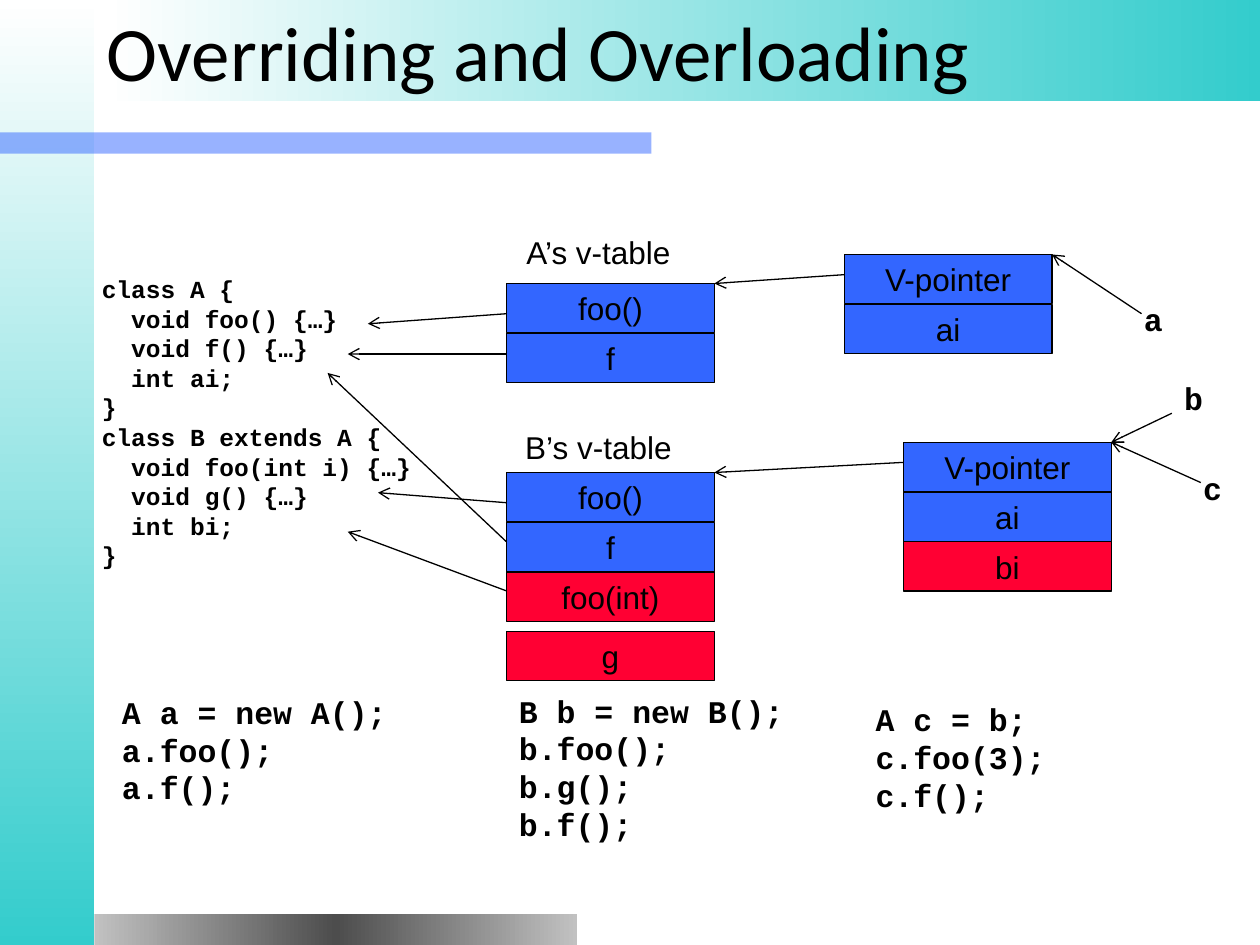
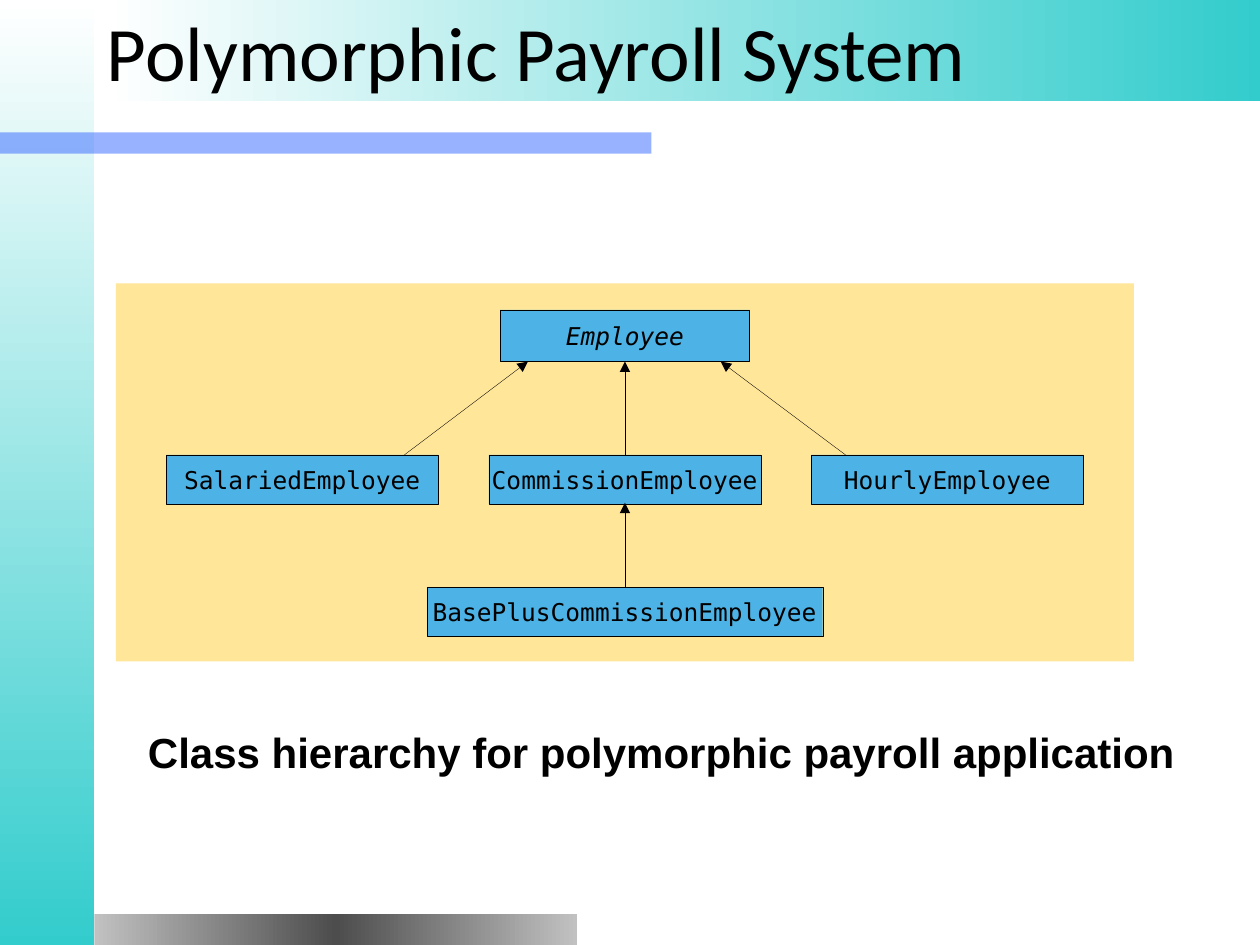
"""Build two slides on method overriding and a polymorphic payroll hierarchy."""
from dataclasses import dataclass

from lxml import etree
from pptx import Presentation
from pptx import util as u
from pptx.dml import color
from pptx.enum import shapes, text
from pptx.oxml import ns

COLUMNS, ROWS = 100, 75
WIDTH, HEIGHT = u.Inches(10), u.Inches(7.5)

BLACK, WHITE, TEAL = "000000", "FFFFFF", "33CCCC"
BLUE, RED = "3366FF", "FF0033"
SILVER, CHARCOAL = "C1C1C1", "4D4D4D"
SAND, SKY = "FFE699", "4DB3E6"

CELL_WIDTH, CELL_HEIGHT, CELL_STEP = 16.5, 3.9, 3.95
CLASS_HEIGHT = 3.9


@dataclass(frozen=True)
class Area:
    """A rectangle in grid columns and rows."""
    left: float
    top: float
    width: float
    height: float


@dataclass(frozen=True)
class Style:
    """The look of a run of text."""
    font: str
    size: float
    bold: bool = False
    italic: bool = False


@dataclass(frozen=True)
class Band:
    """A decorative band with its gradient colours."""
    area: Area
    colours: tuple[str, ...]
    angle: int = 0


@dataclass(frozen=True)
class Note:
    """A block of unwrapped text lines."""
    area: Area
    lines: tuple[str, ...]
    style: Style


@dataclass(frozen=True)
class Stack:
    """A column of memory cells, inherited ones before new ones."""
    left: float
    top: float
    inherited: tuple[str, ...] = ()
    added: tuple[str, ...] = ()


@dataclass(frozen=True)
class Arrow:
    """A line from one grid point to another."""
    x1: float
    y1: float
    x2: float
    y2: float


@dataclass(frozen=True)
class ClassBox:
    """A class in the hierarchy."""
    name: str
    area: Area
    italic: bool = False


TITLE = Style("Calibri", 44)
LABEL = Style("Arial", 18)
CAPTION = Style("Arial", 24, bold=True)
LISTING = Style("Courier New", 14, bold=True)
SNIPPET = Style("Courier New", 18, bold=True)

SIDE_BAND = Band(Area(0, 0, 7.5, 75), (WHITE, TEAL), 270)
FOOT_BAND = Band(Area(7.5, 72.5, 38.3, 2.5), (SILVER, CHARCOAL, SILVER))
TITLE_BAND = Band(Area(8.4, -0.3, 91.6, 8.3), (WHITE, TEAL))
ACCENT_BAR = Area(0, 10.5, 51.7, 1.7)
TITLE_AREA = Area(7.5, 0, 92.5, 8)

CLASS_CODE = (
    "class A {",
    "  void foo() {…}",
    "  void f() {…}",
    "  int ai;",
    "}",
    "class B extends A {",
    "  void foo(int i) {…}",
    "  void g() {…}",
    "  int bi;",
    "}",
)
STACKS = (
    Stack(40.2, 22.5, ("foo()", "f")),
    Stack(40.2, 37.5, ("foo()", "f"), ("foo(int)",)),
    Stack(40.2, 50.1, added=("g",)),
    Stack(67, 20.2, ("V-pointer", "ai")),
    Stack(71.7, 35.1, ("V-pointer", "ai"), ("bi",)),
)
NOTES = (
    Note(Area(40.8, 18, 13.6, 4), ("A’s v-table",), LABEL),
    Note(Area(40.7, 33.5, 13.6, 4), ("B’s v-table",), LABEL),
    Note(Area(8.7, 54.5, 23, 10), ("A a = new A();", "a.foo();", "a.f();"), SNIPPET),
    Note(Area(40.2, 54.4, 23, 13),
         ("B b = new B();", "b.foo();", "b.g();", "b.f();"), SNIPPET),
    Note(Area(68.5, 55.1, 15.5, 10), ("A c = b;", "c.foo(3);", "c.f();"), SNIPPET),
    Note(Area(89.8, 23.3, 3.5, 4), ("a",), SNIPPET),
    Note(Area(93, 29.6, 3.5, 4), ("b",), SNIPPET),
    Note(Area(94.5, 36.7, 3.5, 4), ("c",), SNIPPET),
)
POINTERS = (
    Arrow(40.2, 46.9, 27.6, 42.2),
    Arrow(40.2, 43, 26, 29.6),
    Arrow(40.2, 39.9, 30, 39.1),
    Arrow(40.2, 24.9, 29.2, 25.7),
    Arrow(40.2, 28.1, 27.6, 28.1),
    Arrow(67, 21.8, 56.7, 22.5),
    Arrow(71.7, 36.7, 56.7, 37.5),
    Arrow(90.6, 24.9, 83.5, 20.2),
    Arrow(93, 32.8, 88.2, 35.1),
    Arrow(95.3, 38.3, 88.2, 35.1),
)

SUBCLASSES = ("SalariedEmployee", "CommissionEmployee", "HourlyEmployee")
CLASSES = (
    ClassBox("Employee", Area(39.7, 24.6, 19.8, 4.1), italic=True),
    *(ClassBox(name, Area(13.2 + 25.6 * i, 36.1, 21.6, CLASS_HEIGHT))
      for i, name in enumerate(SUBCLASSES)),
    ClassBox("BasePlusCommissionEmployee", Area(33.9, 46.6, 31.4, CLASS_HEIGHT)),
)
INHERITANCE = (
    Arrow(32.1, 36.1, 41.9, 28.7),
    Arrow(49.6, 36.1, 49.6, 28.7),
    Arrow(67.1, 36.1, 57.2, 28.7),
    Arrow(49.6, 46.6, 49.6, 39.9),
)


def rgb(hex_code: str) -> color.RGBColor:
    """Turn a hex string into a colour."""
    return color.RGBColor.from_string(hex_code)


def across(columns: float) -> u.Emu:
    """Convert grid columns to a length."""
    return u.Emu(round(WIDTH * columns / COLUMNS))


def down(rows: float) -> u.Emu:
    """Convert grid rows to a length."""
    return u.Emu(round(HEIGHT * rows / ROWS))


def place(area: Area) -> tuple[u.Emu, ...]:
    """Convert an area to left, top, width and height."""
    return across(area.left), down(area.top), across(area.width), down(area.height)


def write(frame, lines: tuple[str, ...], style: Style, align=text.PP_ALIGN.LEFT,
          spacing: float = 1, before: float = 0) -> None:
    """Fill a text frame with one paragraph per line."""
    for i, line in enumerate(lines):
        paragraph = frame.add_paragraph() if i else frame.paragraphs[0]
        paragraph.alignment = align
        paragraph.line_spacing = spacing
        if i and before:
            paragraph.space_before = u.Pt(before)
        run = paragraph.add_run()
        run.text = line
        run.font.name, run.font.size = style.font, u.Pt(style.size)
        run.font.bold, run.font.italic = style.bold, style.italic
        run.font.color.rgb = rgb(BLACK)


def add_text(slide, area: Area):
    """Add a wrapping text box and return its frame."""
    frame = slide.shapes.add_textbox(*place(area)).text_frame
    frame.word_wrap = True
    return frame


def add_block(slide, area: Area, fill: str, line_width: float = 0):
    """Add a flat rectangle, outlined in black when it has a line width."""
    block = slide.shapes.add_shape(shapes.MSO_SHAPE.RECTANGLE, *place(area))
    block.shadow.inherit = False
    block.fill.solid()
    block.fill.fore_color.rgb = rgb(fill)
    if line_width:
        block.line.color.rgb = rgb(BLACK)
        block.line.width = u.Pt(line_width)
    else:
        block.line.fill.background()
    return block


def add_boxed_text(slide, area: Area, label: str, style: Style, fill: str,
                   line_width: float) -> None:
    """Add an outlined rectangle with a centred label."""
    frame = add_block(slide, area, fill, line_width).text_frame
    frame.word_wrap = False
    frame.margin_left = frame.margin_right = 0
    frame.vertical_anchor = text.MSO_ANCHOR.MIDDLE
    write(frame, (label,), style, text.PP_ALIGN.CENTER)


def add_band(slide, band: Band) -> None:
    """Add a rectangle filled with evenly spaced gradient stops."""
    block = add_block(slide, band.area, band.colours[0])
    block.fill.gradient()
    block.fill.gradient_angle = band.angle
    stops = block.element.spPr.find(ns.qn("a:gradFill")).find(ns.qn("a:gsLst"))
    for stop in list(stops):
        stops.remove(stop)
    for i, colour in enumerate(band.colours):
        position = round(100000 * i / (len(band.colours) - 1))
        stop = etree.SubElement(stops, ns.qn("a:gs"), pos=str(position))
        etree.SubElement(stop, ns.qn("a:srgbClr"), val=colour)


def add_arrow(slide, arrow: Arrow, line_width: float, head: str) -> None:
    """Add a straight line with an arrowhead at its end."""
    link = slide.shapes.add_connector(
        shapes.MSO_CONNECTOR.STRAIGHT, across(arrow.x1), down(arrow.y1),
        across(arrow.x2), down(arrow.y2))
    link.line.color.rgb = rgb(BLACK)
    link.line.width = u.Pt(line_width)
    properties = link.element.spPr
    etree.SubElement(properties.find(ns.qn("a:ln")), ns.qn("a:tailEnd"), type=head)
    etree.SubElement(properties, ns.qn("a:effectLst"))


def add_stack(slide, stack: Stack) -> None:
    """Add the cells of a stack from top to bottom."""
    for i, label in enumerate(stack.inherited + stack.added):
        area = Area(stack.left, stack.top + i * CELL_STEP, CELL_WIDTH, CELL_HEIGHT)
        fill = BLUE if i < len(stack.inherited) else RED
        add_boxed_text(slide, area, label, LABEL, fill, 0.75)


def start_slide(deck, title: str):
    """Add a blank slide with the shared bands and a title."""
    slide = deck.slides.add_slide(deck.slide_layouts[6])
    add_band(slide, SIDE_BAND)
    accent = add_block(slide, ACCENT_BAR, BLUE)
    tint = accent.element.spPr.find(ns.qn("a:solidFill"))[0]
    etree.SubElement(tint, ns.qn("a:alpha"), val="50000")
    add_band(slide, FOOT_BAND)
    add_band(slide, TITLE_BAND)
    frame = add_text(slide, TITLE_AREA)
    frame.vertical_anchor = text.MSO_ANCHOR.MIDDLE
    write(frame, (title,), TITLE)
    return slide


def build_overriding(deck) -> None:
    """Build the slide on v-tables."""
    slide = start_slide(deck, "Overriding and Overloading")
    write(add_text(slide, Area(7.1, 21.7, 28.3, 27.6)), CLASS_CODE, LISTING,
          spacing=0.8, before=3.5)
    for stack in STACKS:
        add_stack(slide, stack)
    for note in NOTES:
        frame = add_text(slide, note.area)
        frame.word_wrap = False
        frame.auto_size = text.MSO_AUTO_SIZE.SHAPE_TO_FIT_TEXT
        write(frame, note.lines, note.style)
    for pointer in POINTERS:
        add_arrow(slide, pointer, 0.75, "arrow")


def build_payroll(deck) -> None:
    """Build the slide on the payroll class hierarchy."""
    slide = start_slide(deck, "Polymorphic Payroll System")
    write(add_text(slide, Area(5, 57.6, 95, 11.2)),
          ("Class hierarchy for polymorphic payroll application",), CAPTION,
          text.PP_ALIGN.CENTER, spacing=0.9)
    add_block(slide, Area(9.2, 22.5, 80.8, 30), SAND)
    for box in CLASSES:
        style = Style("DejaVu Sans Mono", 14, italic=box.italic)
        add_boxed_text(slide, box.area, box.name, style, SKY, 0.2)
    for link in INHERITANCE:
        add_arrow(slide, link, 0.2, "triangle")


def main() -> None:
    """Build and save the deck."""
    deck = Presentation()
    deck.slide_width, deck.slide_height = WIDTH, HEIGHT
    build_overriding(deck)
    build_payroll(deck)
    deck.save("out.pptx")


if __name__ == "__main__":
    main()
